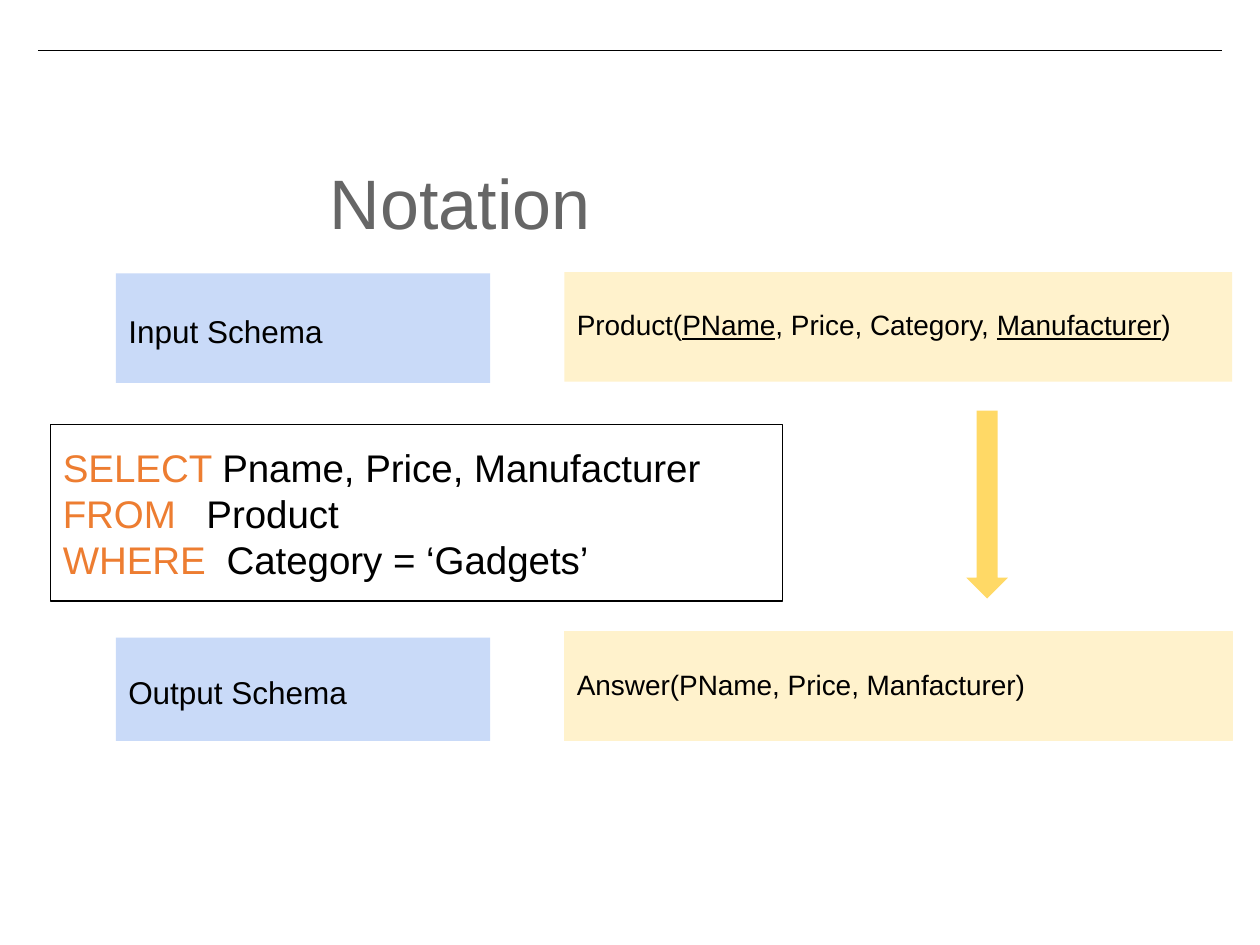
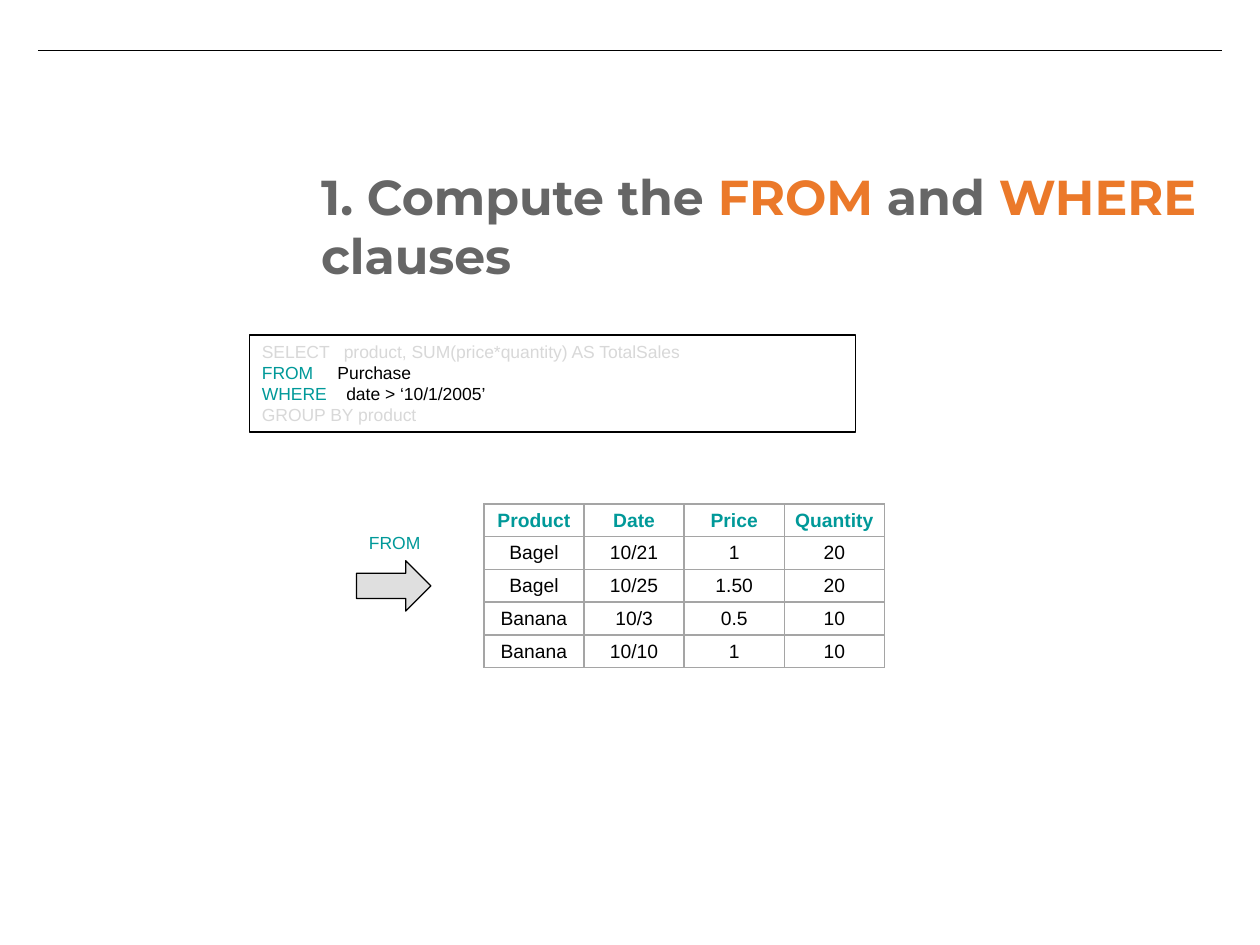
from lxml.etree import SubElement
from pptx import Presentation
from pptx.dml.color import RGBColor
from pptx.enum.shapes import MSO_CONNECTOR, MSO_SHAPE
from pptx.enum.text import MSO_ANCHOR, PP_ALIGN
from pptx.oxml.ns import qn
from pptx.util import Inches, Pt

COLORS = {
    "black": "000000", "white": "FFFFFF", "title": "666666",
    "keyword": "ED7D31", "title_keyword": "EB792A", "teal": "009999",
    "faded": "D8D8D8", "label": "C9DAF8", "schema": "FFF2CC",
    "flow": "FFD966", "step": "C0C0C0", "grid": "A5A5A5",
}
BODY_FONT = "Arial"


def rgb(name):
    return RGBColor.from_string(COLORS[name])


def style_font(font, size, color, name=BODY_FONT, bold=False):
    font.size, font.name, font.bold = Pt(size), name, bold
    font.color.rgb = rgb(color)


def set_tab(paragraph, position):
    properties = paragraph._p.get_or_add_pPr()
    tabs = SubElement(properties, qn("a:tabLst"))
    SubElement(tabs, qn("a:tab"), pos=str(Inches(position)), algn="l")


def set_margins(target, horizontal, vertical):
    target.margin_left = target.margin_right = Inches(horizontal)
    target.margin_top = target.margin_bottom = Inches(vertical)


def write(frame, lines, size, color="black", font=BODY_FONT, bold=False,
          anchor=MSO_ANCHOR.TOP, margin=0.1, spacing=None, tabs=None):
    frame.word_wrap = True
    frame.vertical_anchor = anchor
    set_margins(frame, 0.1, margin)
    for index, runs in enumerate(lines):
        paragraph = frame.paragraphs[0] if index == 0 else frame.add_paragraph()
        paragraph.alignment = PP_ALIGN.LEFT
        if spacing:
            paragraph.line_spacing = spacing
        if tabs and tabs[index]:
            set_tab(paragraph, tabs[index])
        colors = {run_color or color for _, run_color, _ in runs}
        paragraph_color = colors.pop() if len(colors) == 1 else color
        style_font(paragraph.font, size, paragraph_color, font, bold)
        for text, run_color, underline in runs:
            run = paragraph.add_run()
            run.text = text
            if run_color and run_color != paragraph_color:
                run.font.color.rgb = rgb(run_color)
            if underline:
                run.font.underline = True


def span(text, color=None, underline=False):
    return text, color, underline


def add_box(slide, box, fill=None, line=None, kind=MSO_SHAPE.RECTANGLE):
    shape = slide.shapes.add_shape(kind, *map(Inches, box))
    shape.shadow.inherit = False
    if fill:
        shape.fill.solid()
        shape.fill.fore_color.rgb = rgb(fill)
    else:
        shape.fill.background()
    if line:
        shape.line.color.rgb = rgb(line)
        shape.line.width = Pt(0.75)
    else:
        shape.line.fill.background()
    return shape


def add_text(slide, box, lines, size, **style):
    textbox = slide.shapes.add_textbox(*map(Inches, box))
    write(textbox.text_frame, lines, size, **style)


def add_titled_slide(deck, box, title, size, **style):
    slide = deck.slides.add_slide(deck.slide_layouts[6])
    rule = slide.shapes.add_connector(
        MSO_CONNECTOR.STRAIGHT, *map(Inches, (0.3, 0.4, 9.7, 0.4)))
    rule.line.color.rgb = rgb("black")
    rule.line.width = Pt(0.75)
    SubElement(rule._element.spPr, qn("a:effectLst"))
    add_text(slide, box, [title], size, color="title", **style)
    return slide


def add_schema_row(slide, box, label, label_box, schema, line=None):
    left, top, width, height = box
    label_left, label_top, label_width, label_height = label_box
    name = add_box(slide, (left + label_left, top + label_top,
                           label_width, label_height), "label")
    write(name.text_frame, [[span(label)]], 18,
          anchor=MSO_ANCHOR.MIDDLE, spacing=1.15)
    schema_left = 3.56
    relation = add_box(slide, (left + schema_left, top,
                               width - schema_left, height), "schema", line)
    write(relation.text_frame, [schema], 16,
          anchor=MSO_ANCHOR.MIDDLE, spacing=0.9)


def add_notation_slide(deck):
    slide = add_titled_slide(deck, (2.52, 1.17, 6.09, 0.67),
                             [span("Notation")], 40)
    query = add_box(slide, (0.4, 3.37, 5.81, 1.4), line="black")
    write(query.text_frame, [
        [span("SELECT ", "keyword"), span("Pname, Price, Manufacturer")],
        [span("FROM", "keyword"), span("\tProduct")],
        [span("WHERE", "keyword"), span("\tCategory = ‘Gadgets’")],
    ], 22, anchor=MSO_ANCHOR.MIDDLE, tabs=(None, 1.14, 1.3))
    add_schema_row(slide, (0.92, 2.16, 8.86, 0.87), "Input Schema",
                   (0, 0.01, 2.97, 0.87), [
                       span("Product("), span("PName", underline=True),
                       span(", Price, Category, "),
                       span("Manufacturer", underline=True), span(")")])
    add_schema_row(slide, (0.92, 5.01, 8.86, 0.87), "Output Schema",
                   (0, 0.05, 2.97, 0.82),
                   [span("Answer(PName, Price, Manfacturer)")], "schema")
    add_box(slide, (7.67, 3.26, 0.33, 1.49), "flow", kind=MSO_SHAPE.DOWN_ARROW)


def border_cell(cell):
    properties = cell._tc.get_or_add_tcPr()
    for position, side in enumerate(("lnL", "lnR", "lnT", "lnB")):
        border = properties.makeelement(qn(f"a:{side}"), {"w": str(Pt(1))})
        fill = SubElement(border, qn("a:solidFill"))
        SubElement(fill, qn("a:srgbClr"), val=COLORS["grid"])
        properties.insert(position, border)


def add_purchases(slide, box, rows):
    table = slide.shapes.add_table(len(rows), len(rows[0]),
                                   *map(Inches, box)).table
    table.first_row = table.horz_banding = False
    for row_index, values in enumerate(rows):
        table.rows[row_index].height = Inches(box[3] / len(rows))
        for column, value in enumerate(values):
            cell = table.cell(row_index, column)
            cell.fill.background()
            border_cell(cell)
            set_margins(cell, 0.06, 0.03)
            cell.vertical_anchor = MSO_ANCHOR.MIDDLE
            cell.text = value
            paragraph = cell.text_frame.paragraphs[0]
            paragraph.alignment = PP_ALIGN.CENTER
            header = row_index == 0
            style_font(paragraph.font, 11, "teal" if header else "black",
                       bold=header)


def add_from_step(slide, box):
    left, top, width, height = box
    arrow = add_box(slide, (left, top + 0.28, 0.59, height - 0.28), "step",
                    "black", MSO_SHAPE.RIGHT_ARROW)
    color = arrow.fill._xPr.find(qn("a:solidFill"))[0]
    SubElement(color, qn("a:alpha"), val="50000")
    add_text(slide, (left, top, width, 0.27), [[span("FROM")]], 10,
             color="teal", margin=0.05)


def add_clauses_slide(deck):
    slide = add_titled_slide(deck, (2.45, 1.22, 7.31, 1.27), [
        span("1. Compute the "), span("FROM", "title_keyword"), span(" and "),
        span("WHERE", "title_keyword"), span(" clauses"),
    ], 28, font="Montserrat", bold=True)
    add_purchases(slide, (3.84, 4, 3.18, 1.3), [
        ("Product", "Date", "Price", "Quantity"),
        ("Bagel", "10/21", "1", "20"),
        ("Bagel", "10/25", "1.50", "20"),
        ("Banana", "10/3", "0.5", "10"),
        ("Banana", "10/10", "1", "10"),
    ])
    query = add_box(slide, (1.98, 2.66, 4.81, 0.77), "white", "black")
    write(query.text_frame, [
        [span("SELECT\tproduct, SUM(price*quantity) AS TotalSales", "faded")],
        [span("FROM", "teal"), span("\tPurchase")],
        [span("WHERE", "teal"), span("\tdate > ‘10/1/2005’")],
        [span("GROUP BY product", "faded")],
    ], 10, margin=0.05, tabs=(0.65, 0.6, 0.67, None))
    add_from_step(slide, (2.83, 4.17, 0.62, 0.68))


def main():
    deck = Presentation()
    deck.slide_width, deck.slide_height = Inches(10), Inches(7.5)
    add_notation_slide(deck)
    add_clauses_slide(deck)
    deck.save("out.pptx")


if __name__ == "__main__":
    main()
